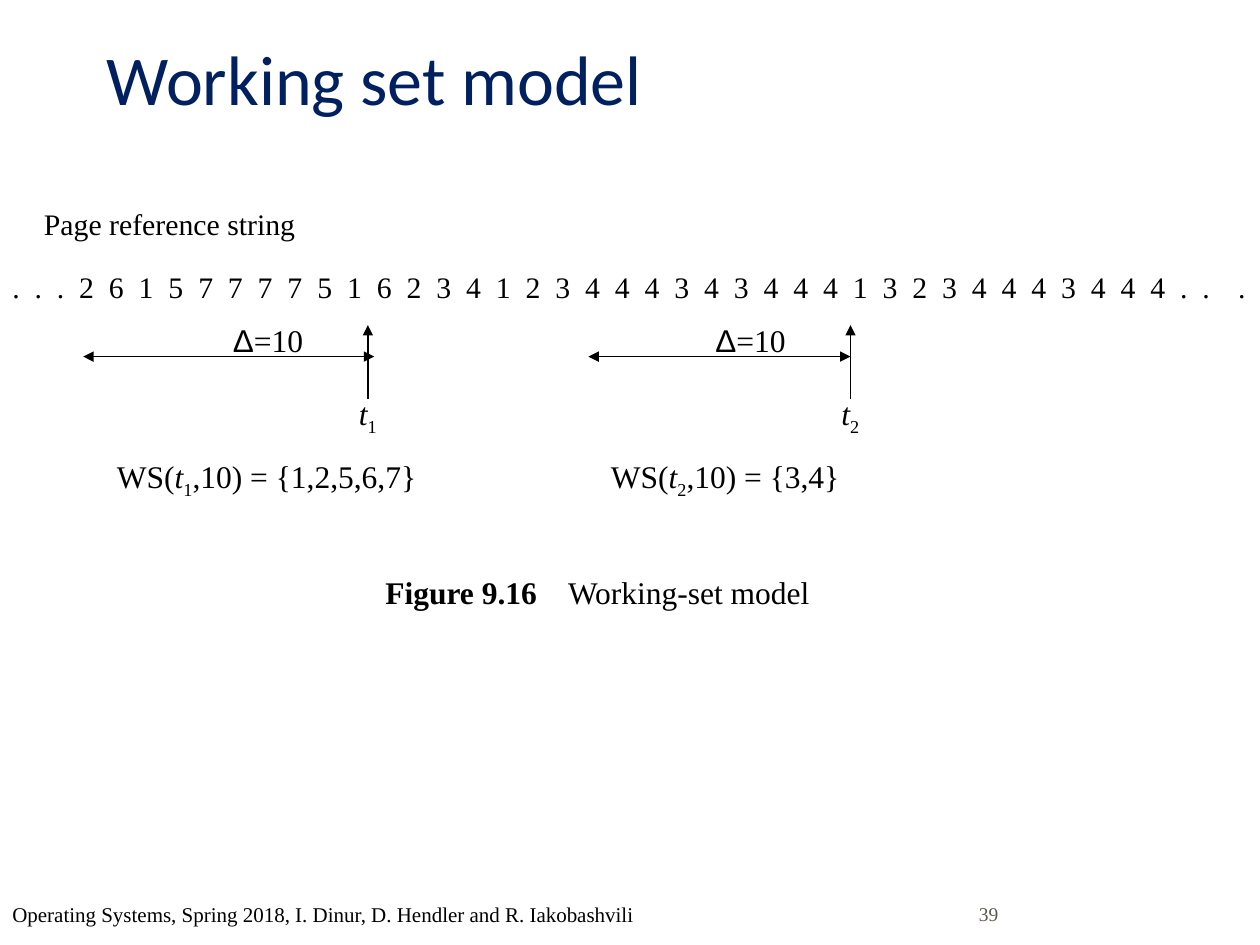
from lxml import etree
from pptx import Presentation
from pptx.dml.color import RGBColor
from pptx.enum.shapes import MSO_CONNECTOR
from pptx.enum.text import MSO_ANCHOR, PP_ALIGN
from pptx.oxml.ns import qn
from pptx.util import Inches, Pt

STRAIGHT = MSO_CONNECTOR.STRAIGHT
BOTTOM, JUSTIFY = MSO_ANCHOR.BOTTOM, PP_ALIGN.JUSTIFY
SERIF = "Times New Roman"
BLACK, NAVY, GREY = "000000", "002060", "5E574E"

# Content
TITLE = "Working set model"
REFERENCES = (". . . 2 6 1 5 7 7 7 7 5 1 6 2 3 4 1 2 3 4 4 4 3 4 3 4 4 4 "
              "1 3 2 3 4 4 4 3 4 4 4 . .")
FOOTER = "Operating Systems, Spring 2018, I. Dinur, D. Hendler and R. Iakobashvili"
PAGE = "39"
CAPTION = [("Figure 9.16", {"bold": True}), ("\tWorking-set model", {})]
CAPTION_TAB = 1.45

# Each window: index, its set, time x, span of the arrow, delta box, set box
WINDOWS = [
    {"n": "1", "set": "{1,2,5,6,7}", "time": 2.92, "span": (0.66, 2.97),
     "delta": 1.75, "label": 0.83},
    {"n": "2", "set": "{3,4}", "time": 6.75, "span": (4.67, 6.75),
     "delta": 5.58, "label": 4.75},
]
SPAN_Y, TIME_TOP, TIME_BOTTOM = 2.83, 2.58, 3.17


def rgb(value):
    return RGBColor.from_string(value)


def add_text(s, box, runs, size=18, font=SERIF, color=BLACK):
    """Add a text box; runs is a string or a list of (text, format) pairs."""
    tf = s.shapes.add_textbox(*[Inches(v) for v in box]).text_frame
    tf.word_wrap = True
    p = tf.paragraphs[0]
    if isinstance(runs, str):
        runs = [(runs, {})]
    for text, fmt in runs:
        r = p.add_run()
        r.text = text
        r.font.size = Pt(size)
        r.font.name = fmt.get("font", font)
        r.font.color.rgb = rgb(color)
        r.font.bold = fmt.get("bold", False)
        r.font.italic = fmt.get("italic", False)
        for name in ("baseline", "spc"):
            if name in fmt:
                r.font._element.set(name, str(fmt[name]))
    return tf


def add_arrow(s, start, end, ends):
    """Add a line with triangles at the given ends."""
    line = s.shapes.add_connector(
        STRAIGHT, *[Inches(v) for v in (*start, *end)])
    line.line.color.rgb = rgb(BLACK)
    line.line.width = Pt(1)
    ln = line.line._get_or_add_ln()
    for name in ends:
        etree.SubElement(ln, qn(f"a:{name}"), type="triangle")
    etree.SubElement(line._element.spPr, qn("a:effectLst"))


def time_runs(n):
    return [("t", {"italic": True}), (n, {"baseline": -25000})]


def add_window(s, w):
    x = w["time"]
    add_arrow(s, (x, TIME_TOP), (x, TIME_BOTTOM), ["headEnd"])
    left, right = w["span"]
    add_arrow(s, (left, SPAN_Y), (right, SPAN_Y), ["headEnd", "tailEnd"])
    add_text(s, (w["delta"], 2.5, 1.17, 0.4), [("Δ", {"font": "Arial"}), ("=10", {})])
    add_text(s, (x - 0.17, 3.08, 0.5, 0.44), time_runs(w["n"]))
    add_text(s, (w["label"], 3.58, 2.99, 0.44),
             [("WS(", {}), *time_runs(w["n"]), (f",10) = {w['set']}", {})])


def main():
    prs = Presentation()
    prs.slide_width, prs.slide_height = Inches(10), Inches(7.5)
    s = prs.slides.add_slide(prs.slide_layouts[6])

    # Title
    tf = add_text(s, (0.75, 0.42, 8.5, 0.58), TITLE, 40, "Calibri", NAVY)
    tf.vertical_anchor = BOTTOM

    # Reference string, spread by character spacing
    add_text(s, (0, 2.08, 10, 0.39),
             [(REFERENCES, {"spc": 212}), (" ", {"spc": 850}), (".", {})], 17)
    add_text(s, (0.25, 1.58, 2.58, 0.39), "Page reference string", 17)

    # Working-set windows
    for w in WINDOWS:
        add_window(s, w)

    # Caption, its two parts set apart by a tab stop
    tf = add_text(s, (2.96, 4.5, 4.08, 0.4), CAPTION)
    tabs = etree.SubElement(tf.paragraphs[0]._p.get_or_add_pPr(), qn("a:tabLst"))
    etree.SubElement(tabs, qn("a:tab"), pos=str(Inches(CAPTION_TAB)), algn="l")

    # Page number and footer
    tf = add_text(s, (7.67, 7.13, 2, 0.3), PAGE, 11.1, color=GREY)
    tf.paragraphs[0].alignment = JUSTIFY
    tf.paragraphs[0].line_spacing = 0.9
    add_text(s, (0, 7.11, 10, 0.5), FOOTER, 12)

    prs.save("out.pptx")


if __name__ == "__main__":
    main()
